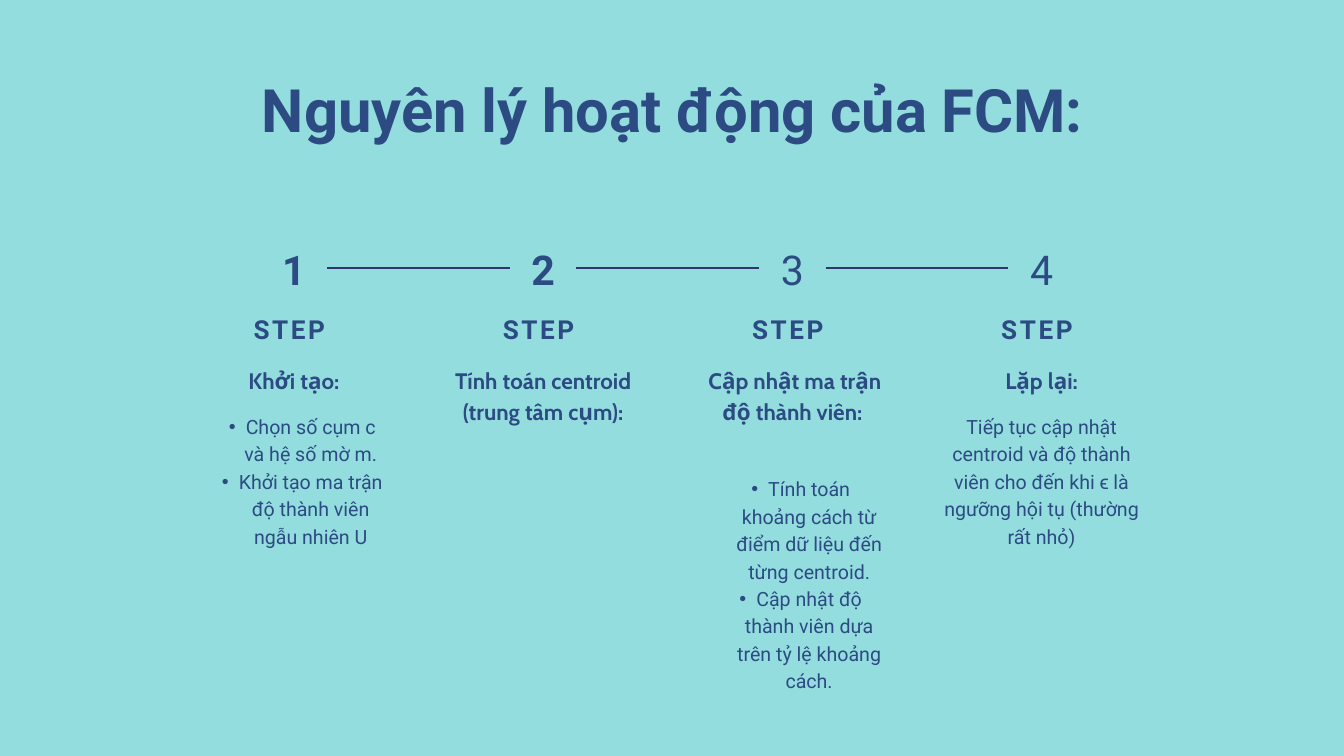
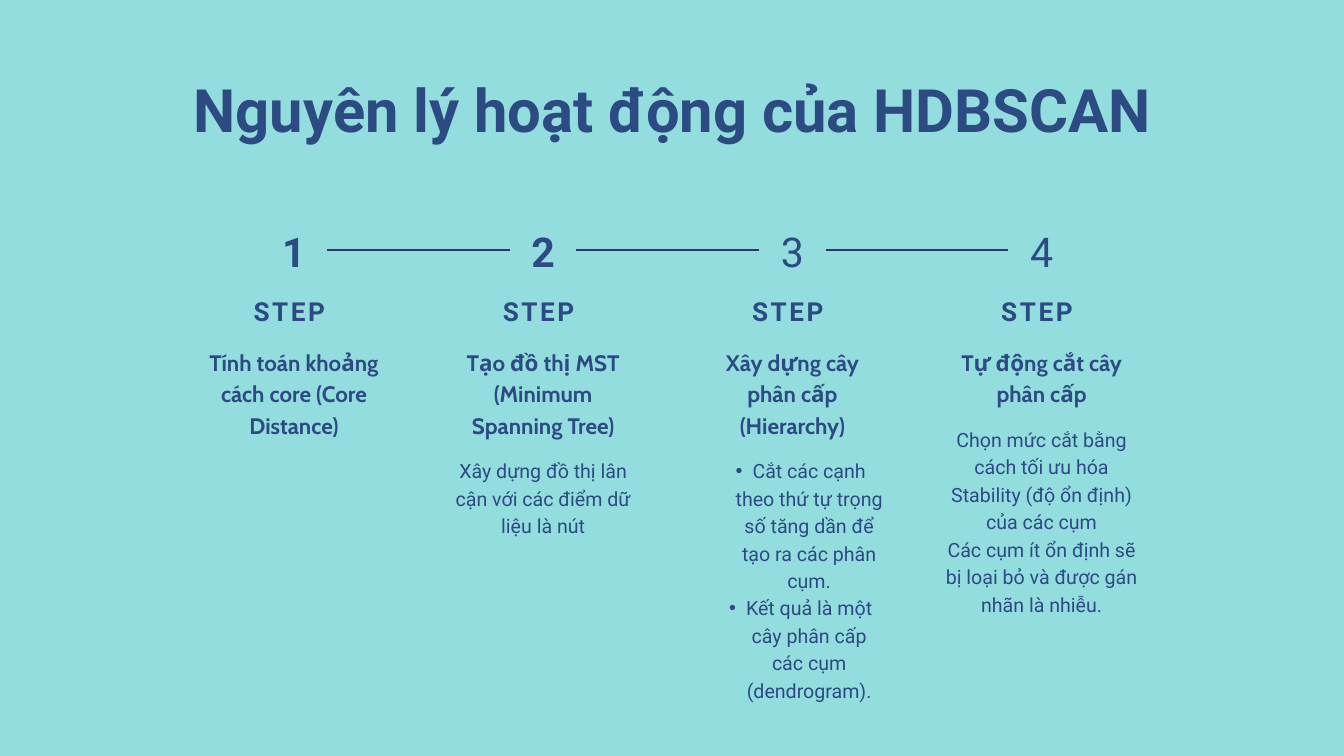
from dataclasses import dataclass

from lxml.etree import SubElement
from pptx import Presentation
from pptx.dml.color import RGBColor
from pptx.enum.shapes import MSO_CONNECTOR, MSO_SHAPE
from pptx.enum.text import MSO_ANCHOR, MSO_AUTO_SIZE, PP_ALIGN
from pptx.oxml.ns import qn
from pptx.util import Cm, Pt

AQUA = RGBColor(0x94, 0xDD, 0xDE)
NAVY = RGBColor(0x2B, 0x4B, 0x82)
INDIGO = RGBColor(0x31, 0x35, 0x6E)

SLIDE_W, SLIDE_H = 50.8, 28.58
FIRST_CENTRE, PITCH = 11.11, 9.42
COLUMN_WIDTHS = (6.83, 6.68, 6.83, 7.44)
BADGE_W, BADGE_H = 2.51, 2.69
TILE_DROP, TILE_H = 0.23, 2.46
STEP_DROP, HEADING_DROP = 3.0, 5.05
BODY_GAP = 0.73


@dataclass
class Step:
    heading: str
    heading_lines: int
    body: tuple = ()
    body_lines: int = 0
    bulleted: bool = False


FCM_STEPS = (
    Step("Khởi tạo:", 1,
         ("Chọn số cụm c và hệ số mờ m.",
          "Khởi tạo ma trận độ thành viên ngẫu nhiên U"), 6, True),
    Step("Tính toán centroid (trung tâm cụm):", 3),
    Step(" Cập nhật ma trận độ thành viên:", 3,
         ("Tính toán khoảng cách từ điểm dữ liệu đến từng centroid.",
          "Cập nhật độ thành viên dựa trên tỷ lệ khoảng cách."), 8, True),
    Step("Lặp lại:", 1,
         ("Tiếp tục cập nhật centroid và độ thành viên cho đến khi ϵ là "
          "ngưỡng hội tụ (thường rất nhỏ)",), 5),
)

HDBSCAN_STEPS = (
    Step("Tính toán khoảng cách core (Core Distance)", 3),
    Step("Tạo đồ thị MST (Minimum Spanning Tree)", 3,
         ("Xây dựng đồ thị lân cận với các điểm dữ liệu là nút",), 3),
    Step("Xây dựng cây phân cấp (Hierarchy)", 3,
         ("Cắt các cạnh theo thứ tự trọng số tăng dần để tạo ra các phân cụm.",
          "Kết quả là một cây phân cấp các cụm (dendrogram)."), 9, True),
    Step("Tự động cắt cây phân cấp", 2,
         ("Chọn mức cắt bằng cách tối ưu hóa Stability (độ ổn định) của các cụm",
          "Các cụm ít ổn định sẽ bị loại bỏ và được gán nhãn là nhiễu."), 7),
)


def add_bullet(paragraph):
    paragraph.level = 1
    properties = paragraph._p.get_or_add_pPr()
    properties.set("marL", str(Cm(1.27)))
    properties.set("indent", str(-Cm(0.64)))
    SubElement(properties, qn("a:buFont"), typeface="Arial")
    SubElement(properties, qn("a:buChar"), char="•")


def add_text(slide, box, *lines, size, leading, font="Roboto", bold=False,
             tracking=0, bulleted=False, middle=False):
    """Place centred lines in box (left, top, width, height in cm)."""
    frame = slide.shapes.add_textbox(*map(Cm, box)).text_frame
    frame.word_wrap = True
    frame.margin_left = frame.margin_right = 0
    frame.margin_top = frame.margin_bottom = 0
    if middle:
        frame.vertical_anchor = MSO_ANCHOR.MIDDLE
    else:
        frame.auto_size = MSO_AUTO_SIZE.SHAPE_TO_FIT_TEXT
    for index, line in enumerate(lines):
        paragraph = frame.add_paragraph() if index else frame.paragraphs[0]
        paragraph.alignment = PP_ALIGN.CENTER
        paragraph.line_spacing = Pt(leading)
        if bulleted:
            add_bullet(paragraph)
        run = paragraph.add_run()
        run.text = line
        run.font.name = font
        run.font.size = Pt(size)
        run.font.bold = bold
        run.font.color.rgb = NAVY
        if tracking:
            run._r.get_or_add_rPr().set("spc", str(int(tracking * 100)))


def add_badge(slide, number, left, top):
    """Draw a step number; every one after the first sits on a tile, which is returned."""
    tile = None
    if number > 1:
        tile = slide.shapes.add_shape(
            MSO_SHAPE.RECTANGLE, Cm(left), Cm(top + TILE_DROP), Cm(BADGE_W), Cm(TILE_H))
        tile.shadow.inherit = False
        tile.fill.solid()
        tile.fill.fore_color.rgb = AQUA
        tile.line.fill.background()
    add_text(slide, (left, top, BADGE_W, BADGE_H), str(number), size=44,
             leading=61.6, bold=number < 3, tracking=7.5, middle=True)
    return tile


def add_link(slide, previous_tile, tile, right, top):
    """Join a tile to the badge before it."""
    y = Cm(top + TILE_DROP + TILE_H / 2)
    link = slide.shapes.add_connector(
        MSO_CONNECTOR.STRAIGHT, Cm(right - PITCH + BADGE_W), y, Cm(right), y)
    if previous_tile is not None:
        link.begin_connect(previous_tile, 3)
    link.end_connect(tile, 1)
    link.line.color.rgb = INDIGO
    link.line.width = Pt(2.25)
    SubElement(link._element.spPr, qn("a:effectLst"))


def add_column(slide, step, left, top, width):
    add_text(slide, (left, top + STEP_DROP, width, 1.3), "STEP ",
             size=28, leading=39.2, bold=True, tracking=2.8)
    heading_top = top + HEADING_DROP
    heading_height = 1.18 * step.heading_lines - 0.09
    add_text(slide, (left, heading_top, width, heading_height), step.heading,
             size=24, leading=33.6, font="Cabin", bold=True)
    if step.body:
        body_top = heading_top + heading_height + BODY_GAP
        body_height = 1.03 * step.body_lines - 0.05
        add_text(slide, (left, body_top, width, body_height), *step.body,
                 size=21, leading=29.4, bulleted=step.bulleted)


def add_steps_slide(deck, title, steps, top):
    slide = deck.slides.add_slide(deck.slide_layouts[6])
    slide.background.fill.solid()
    slide.background.fill.fore_color.rgb = AQUA
    add_text(slide, (3, 3.1, 44.83, 2.46), title, size=64, leading=67.2, bold=True)
    previous_tile = None
    for index, (step, width) in enumerate(zip(steps, COLUMN_WIDTHS)):
        centre = FIRST_CENTRE + index * PITCH
        badge_left = centre - BADGE_W / 2
        tile = add_badge(slide, index + 1, badge_left, top)
        if tile is not None:
            add_link(slide, previous_tile, tile, badge_left, top)
        add_column(slide, step, centre - width / 2, top, width)
        previous_tile = tile


def main():
    deck = Presentation()
    deck.slide_width, deck.slide_height = Cm(SLIDE_W), Cm(SLIDE_H)
    add_steps_slide(deck, "Nguyên lý hoạt động của FCM:", FCM_STEPS, 8.66)
    add_steps_slide(deck, "Nguyên lý hoạt động của HDBSCAN", HDBSCAN_STEPS, 7.98)
    deck.save("out.pptx")


if __name__ == "__main__":
    main()
